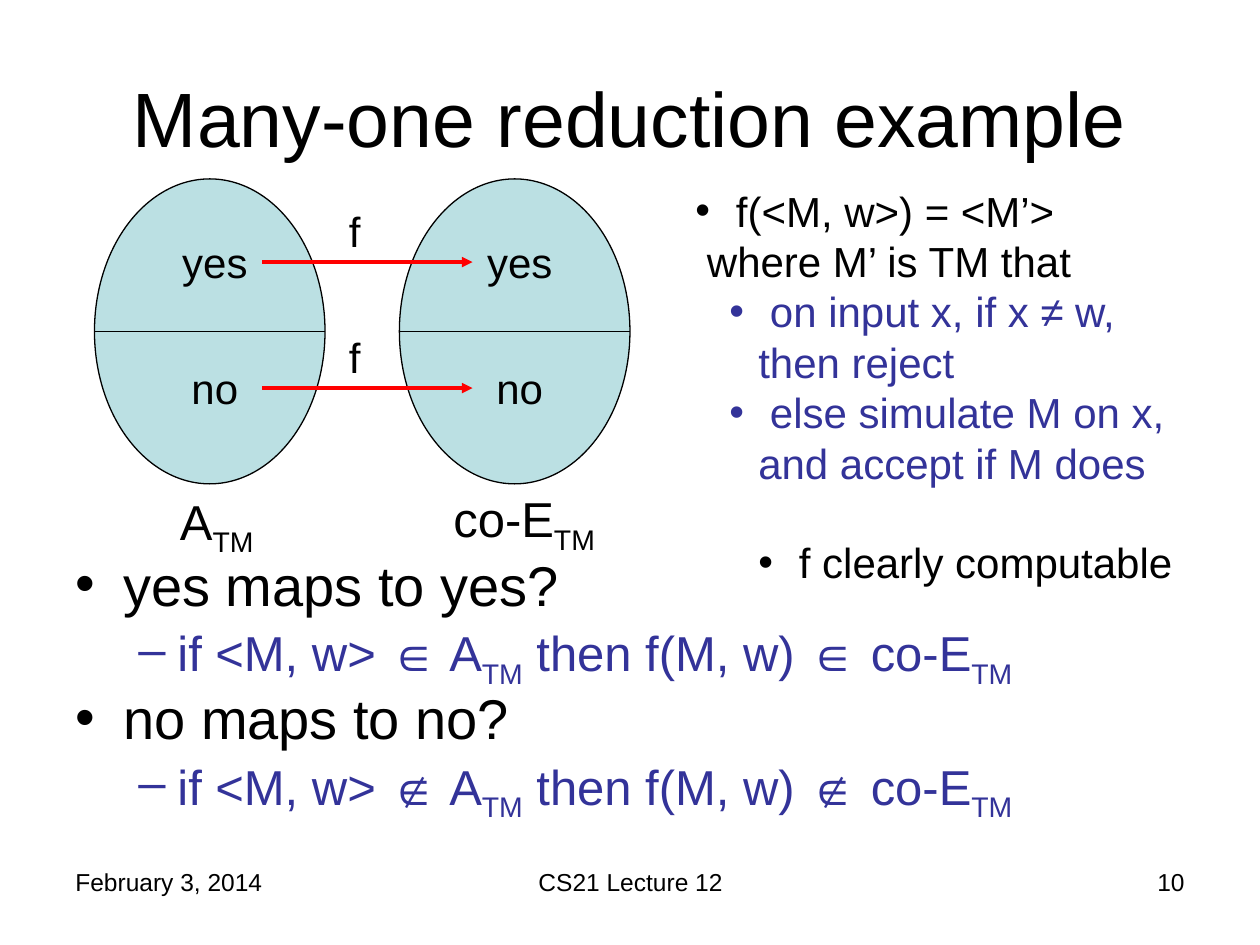
from lxml.etree import SubElement
from pptx import Presentation
from pptx.dml.color import RGBColor
from pptx.enum.shapes import MSO_CONNECTOR, MSO_SHAPE
from pptx.enum.text import MSO_ANCHOR, PP_ALIGN
from pptx.oxml.ns import qn
from pptx.util import Inches, Pt

BLACK, INDIGO, RED, PALE_BLUE = "000000", "333399", "FF0000", "BBE0E3"


def color(hex_string):
    return RGBColor.from_string(hex_string)


def add_text(left, top, width, height, paragraphs, align=PP_ALIGN.LEFT):
    """Add a text box. A paragraph is a dict: text, size and, as needed, color,
    bullet, margin, hang, before, spacing. Every second part of a text split
    at "_" is a subscript."""
    box = slide.shapes.add_textbox(Inches(left), Inches(top), Inches(width), Inches(height))
    frame = box.text_frame
    frame.word_wrap = True
    for index, item in enumerate(paragraphs):
        paragraph = frame.paragraphs[0] if index == 0 else frame.add_paragraph()
        paragraph.alignment = align
        paragraph.space_before = Pt(item.get("before", 0))
        paragraph.line_spacing = item.get("spacing", 1.0)
        for part, text in enumerate(item["text"].split("_")):
            if not text:
                continue
            run = paragraph.add_run()
            run.text = text
            run.font.name = "Arial"
            run.font.size = Pt(item["size"])
            run.font.color.rgb = color(item.get("color", BLACK))
            if part % 2:
                run.font._element.set("baseline", "-25000")
        if "bullet" in item:
            properties = paragraph._p.get_or_add_pPr()
            properties.set("marL", str(Inches(item["margin"])))
            properties.set("indent", str(-Inches(item["hang"])))
            SubElement(properties, qn("a:buFont"), typeface="Arial")
            SubElement(properties, qn("a:buChar"), char=item["bullet"])
    return box


presentation = Presentation()
presentation.slide_width = Inches(10)
presentation.slide_height = Inches(7.5)
slide = presentation.slides.add_slide(presentation.slide_layouts[6])

# Footer and title
add_text(0.5, 6.83, 2.33, 0.52, [{"text": "February 3, 2014", "size": 14}])
add_text(3.42, 6.83, 3.17, 0.52, [{"text": "CS21 Lecture 12", "size": 14}], PP_ALIGN.CENTER)
add_text(7.17, 6.83, 2.33, 0.52, [{"text": "10", "size": 14}], PP_ALIGN.RIGHT)
title = add_text(0.5, 0.3, 9, 1.25, [{"text": "Many-one reduction example", "size": 44}],
                 PP_ALIGN.CENTER)
title.text_frame.vertical_anchor = MSO_ANCHOR.MIDDLE

# Questions and answers
question = {"size": 32, "bullet": "•", "margin": 0.38, "hang": 0.38, "before": 8, "spacing": 0.8}
answer = {"size": 28, "color": INDIGO, "bullet": "–", "margin": 0.81, "hang": 0.31,
          "before": 7, "spacing": 0.8}
questions = []
for word, relation in (("yes", "∈"), ("no", "∉")):
    questions.append({**question, "text": f"{word} maps to {word}?"})
    questions.append({**answer, "text": f"if <M, w> {relation} A_TM_ then f(M, w) {relation} co-E_TM"})
add_text(0.5, 4.42, 9, 2.28, questions)

# Two languages, each an ellipse split into yes and no halves
connectors = []
answer_boxes = {"yes": [], "no": []}
for left in (0.75, 3.17):
    ellipse = slide.shapes.add_shape(MSO_SHAPE.OVAL, Inches(left), Inches(1.42),
                                     Inches(1.83), Inches(2.42))
    ellipse.shadow.inherit = False
    ellipse.fill.solid()
    ellipse.fill.fore_color.rgb = color(PALE_BLUE)
    ellipse.line.color.rgb = color(BLACK)
    ellipse.line.width = Pt(0.75)
    divider = slide.shapes.add_connector(MSO_CONNECTOR.STRAIGHT, Inches(left), Inches(2.63),
                                         Inches(left + 1.83), Inches(2.63))
    connectors.append((divider, BLACK, 0.75))
    for word, top in (("yes", 1.83), ("no", 2.83)):
        box = add_text(left + 0.58, top, 0.75, 0.5, [{"text": word, "size": 24}],
                       PP_ALIGN.CENTER)
        answer_boxes[word].append(box)

add_text(1.33, 3.85, 1, 0.63, [{"text": "A_TM", "size": 28}])
add_text(3.5, 3.83, 2.33, 0.63, [{"text": "co-E_TM", "size": 28}])

# The function f maps each half to its counterpart
for source, target in answer_boxes.values():
    arrow = slide.shapes.add_connector(MSO_CONNECTOR.STRAIGHT, 0, 0, 0, 0)
    arrow.begin_connect(source, 3)
    arrow.end_connect(target, 1)
    connectors.append((arrow, RED, 2))
    add_text(2.67, source.top.inches - 0.25, 0.58, 0.5, [{"text": "f", "size": 24}])

for connector, line_color, width in connectors:
    connector.line.color.rgb = color(line_color)
    connector.line.width = Pt(width)
    if line_color == RED:
        SubElement(connector.line._get_or_add_ln(), qn("a:tailEnd"), type="triangle")
    SubElement(connector._element.spPr, qn("a:effectLst"))

# Definition of f
bullet = {"size": 24, "bullet": "•", "hang": 0.23}
add_text(5.42, 1.42, 4.17, 3.3, [
    {**bullet, "text": " f(<M, w>) = <M’>", "margin": 0.23},
    {"text": " where M’ is TM that", "size": 24},
    {**bullet, "text": " on input x, if x ≠ w, then reject", "margin": 0.5, "color": INDIGO},
    {**bullet, "text": " else simulate M on x, and accept if M does", "margin": 0.5,
     "color": INDIGO},
    {**bullet, "text": " f clearly computable", "margin": 0.73, "before": 28},
])

presentation.save("out.pptx")
